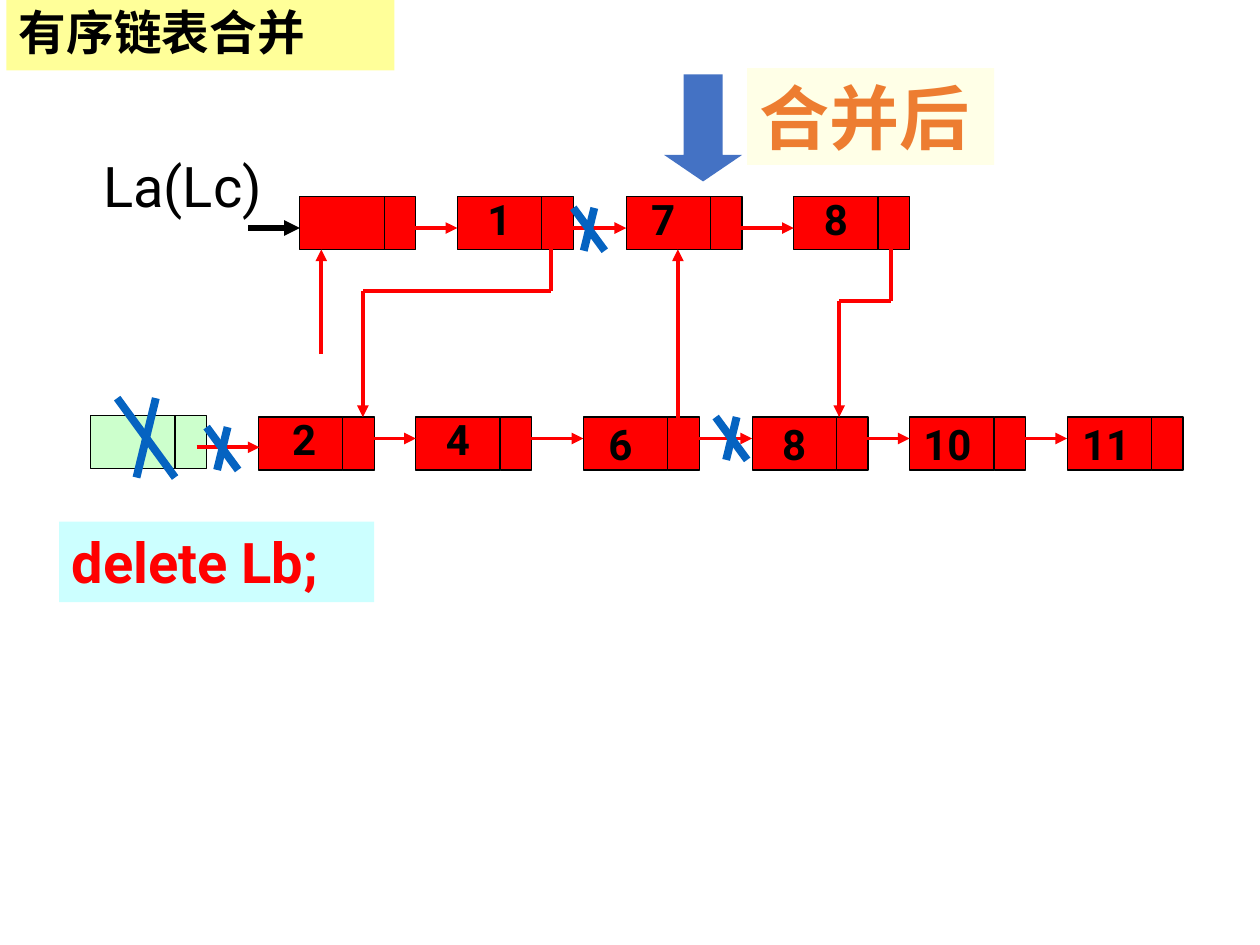
from lxml import etree
from pptx import Presentation
from pptx.dml.color import RGBColor
from pptx.enum.shapes import MSO_CONNECTOR, MSO_SHAPE
from pptx.enum.text import MSO_ANCHOR, MSO_AUTO_SIZE, PP_ALIGN
from pptx.oxml.ns import qn
from pptx.util import Inches, Pt

RECTANGLE = MSO_SHAPE.RECTANGLE
DOWN_ARROW = MSO_SHAPE.DOWN_ARROW
STRAIGHT = MSO_CONNECTOR.STRAIGHT
LEFT = PP_ALIGN.LEFT
TOP, MIDDLE = MSO_ANCHOR.TOP, MSO_ANCHOR.MIDDLE
FIT_SHAPE, NO_FIT = MSO_AUTO_SIZE.SHAPE_TO_FIT_TEXT, MSO_AUTO_SIZE.NONE

BLACK = RGBColor(0x00, 0x00, 0x00)
RED = RGBColor(0xFF, 0x00, 0x00)
BLUE = RGBColor(0x44, 0x72, 0xC4)
CROSS_BLUE = RGBColor(0x05, 0x63, 0xC1)
ORANGE = RGBColor(0xED, 0x7D, 0x31)
GREEN = RGBColor(0xCC, 0xFF, 0xCC)
CYAN = RGBColor(0xCC, 0xFF, 0xFF)
YELLOW = RGBColor(0xFF, 0xFF, 0x99)
CREAM = RGBColor(0xFF, 0xFF, 0xE7)

LATIN, CHINESE, SERIF = "Roboto", "Noto Sans CJK SC", "Times New Roman"

DATA_WIDTH, LINK_WIDTH, NODE_HEIGHT = 0.67, 0.25, 0.42
LA_TOP, LB_TOP = 1.56, 3.31
LA_LINK, LB_LINK = 1.81, 3.48
LA_NODES = [2.38, 3.63, 4.97, 6.30]
LB_NODES = [2.05, 3.30, 4.63, 5.97, 7.22, 8.47]
ARROW_LENGTH = 0.5

# value, left and top of its label
VALUES = [
    ("1", 3.77, 1.49), ("7", 5.07, 1.49), ("8", 6.44, 1.49),
    ("2", 2.22, 3.23), ("4", 3.44, 3.23), ("6", 4.73, 3.27),
    ("8", 6.11, 3.27), ("10", 7.23, 3.27), ("11", 8.49, 3.27),
]
# points of each new link; the last one carries the arrowhead
NEW_LINKS = [
    [(2.55, 2.81), (2.55, 1.98)],
    [(4.37, 1.81), (4.37, 2.31), (2.88, 2.31), (2.88, 3.31)],
    [(5.38, 3.48), (5.38, 1.98)],
    [(7.07, 1.81), (7.07, 2.39), (6.66, 2.39), (6.66, 3.31)],
]
BROKEN_LINKS = [(4.55, 1.65), (5.68, 3.31), (1.64, 3.39)]


class ListDiagram:
    def __init__(self, slide):
        self.slide = slide
        self.shapes = slide.shapes

    def style_text(self, shape, text, size, color, bold=True, font=LATIN,
                   anchor=TOP, wrap=True, fit=FIT_SHAPE):
        frame = shape.text_frame
        frame.word_wrap = wrap
        frame.auto_size = fit
        frame.vertical_anchor = anchor
        frame.text = text
        para = frame.paragraphs[0]
        para.alignment = LEFT
        para.font.size = Pt(size)
        para.font.bold = bold
        para.font.name = font
        para.font.color.rgb = color
        for span in para.runs:
            properties = span.font._element
            etree.SubElement(properties, qn("a:ea"), typeface=CHINESE)
        return para

    def title(self, text, left, top, width, height):
        box = self.shapes.title
        box.left, box.top = Inches(left), Inches(top)
        box.width, box.height = Inches(width), Inches(height)
        box.fill.solid()
        box.fill.fore_color.rgb = YELLOW
        para = self.style_text(box, text, 27.2, BLACK, font=CHINESE,
                               anchor=MIDDLE, fit=NO_FIT)
        para.line_spacing = 0.9

    def label(self, text, left, top, width, height, size, **style):
        box = self.shapes.add_textbox(
            Inches(left), Inches(top), Inches(width), Inches(height))
        self.style_text(box, text, size, BLACK, **style)

    def shape(self, left, top, width, height, fill, kind=RECTANGLE,
              outline=None, parent=None):
        shape = (parent or self.shapes).add_shape(
            kind, Inches(left), Inches(top), Inches(width), Inches(height))
        shape.shadow.inherit = False
        shape.fill.solid()
        shape.fill.fore_color.rgb = fill
        if outline is None:
            shape.line.fill.background()
        else:
            shape.line.color.rgb = outline
            shape.line.width = Pt(0.75)
        return shape

    def node(self, left, top, fill=RED):
        """Draw a list node: a data cell followed by a link cell."""
        cells = self.shapes.add_group_shape().shapes
        self.shape(left, top, DATA_WIDTH, NODE_HEIGHT, fill,
                   outline=BLACK, parent=cells)
        self.shape(left + DATA_WIDTH, top, LINK_WIDTH, NODE_HEIGHT, fill,
                   outline=BLACK, parent=cells)

    def line(self, start, end, color=RED, width=2.25, arrow=False, parent=None):
        line = (parent or self.shapes).add_connector(
            STRAIGHT, *(Inches(value) for value in (*start, *end)))
        line.line.color.rgb = color
        line.line.width = Pt(width)
        if arrow:
            etree.SubElement(line.line._get_or_add_ln(), qn("a:tailEnd"),
                             type="triangle")
        etree.SubElement(line._element.spPr, qn("a:effectLst"))

    def route(self, points):
        """Draw a bent link whose last segment has the arrowhead."""
        last = len(points) - 2
        for index, (start, end) in enumerate(zip(points, points[1:])):
            self.line(start, end, arrow=index == last)

    def link_into(self, left, y):
        self.line((left - ARROW_LENGTH, y), (left, y), arrow=True)

    def cross(self, left, top, width=0.25, height=0.34):
        strokes = self.shapes.add_group_shape().shapes
        bottom = top + height
        for start, end in ((2 / 3, 1 / 3), (0, 1)):
            self.line((left + start * width, top), (left + end * width, bottom),
                      CROSS_BLUE, 4.5, parent=strokes)


def main():
    deck = Presentation()
    deck.slide_width, deck.slide_height = Inches(10), Inches(7.5)
    diagram = ListDiagram(deck.slides.add_slide(deck.slide_layouts[5]))
    diagram.title("有序链表合并", 0.05, 0, 3.08, 0.56)

    for nodes, top in ((LA_NODES, LA_TOP), (LB_NODES, LB_TOP)):
        for left in nodes:
            diagram.node(left, top)
    diagram.node(0.72, 3.3, GREEN)

    for nodes, y in ((LA_NODES, LA_LINK), (LB_NODES, LB_LINK)):
        for left in nodes[1:]:
            diagram.link_into(left, y)
    diagram.link_into(2.06, 3.55)
    for points in NEW_LINKS:
        diagram.route(points)
    diagram.line((1.97, LA_LINK), (2.38, LA_LINK), BLACK, 3, arrow=True)

    diagram.label("La(Lc)", 0.72, 1.15, 1.48, 0.64, 32, bold=False)
    for value, left, top in VALUES:
        width = 0.2 + 0.19 * len(value)
        diagram.label(value, left, top, width, 0.5, 24, wrap=False)

    for left, top in BROKEN_LINKS:
        diagram.cross(left, top)

    arrow = diagram.shape(5.27, 0.59, 0.62, 0.85, BLUE, DOWN_ARROW)
    arrow.adjustments[0], arrow.adjustments[1] = 0.5, 0.34
    merged = diagram.shape(5.93, 0.54, 1.96, 0.77, CREAM)
    diagram.style_text(merged, "合并后", 40, ORANGE, font=SERIF)
    delete = diagram.shape(0.47, 4.14, 2.5, 0.64, CYAN)
    diagram.style_text(delete, "delete Lb;", 32, RED)
    diagram.cross(0.93, 3.16, 0.46, 0.63)

    deck.save("out.pptx")


if __name__ == "__main__":
    main()
